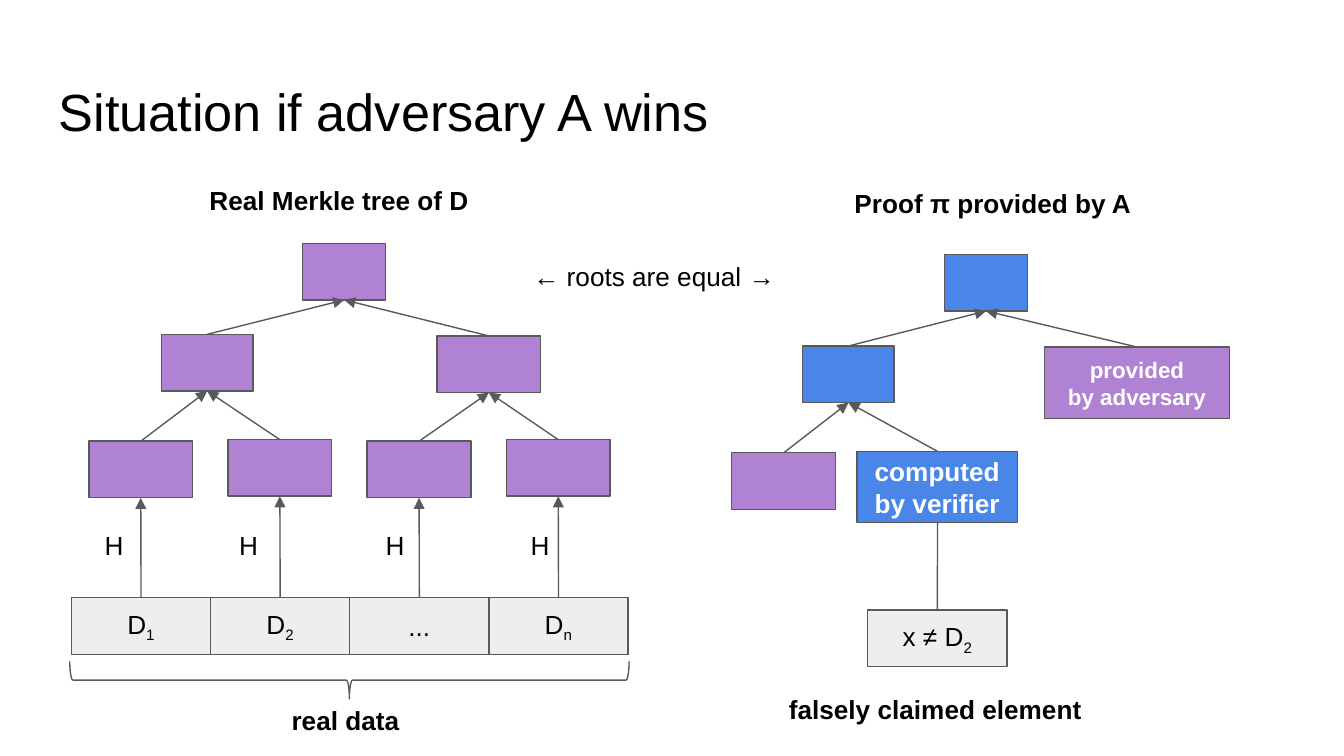
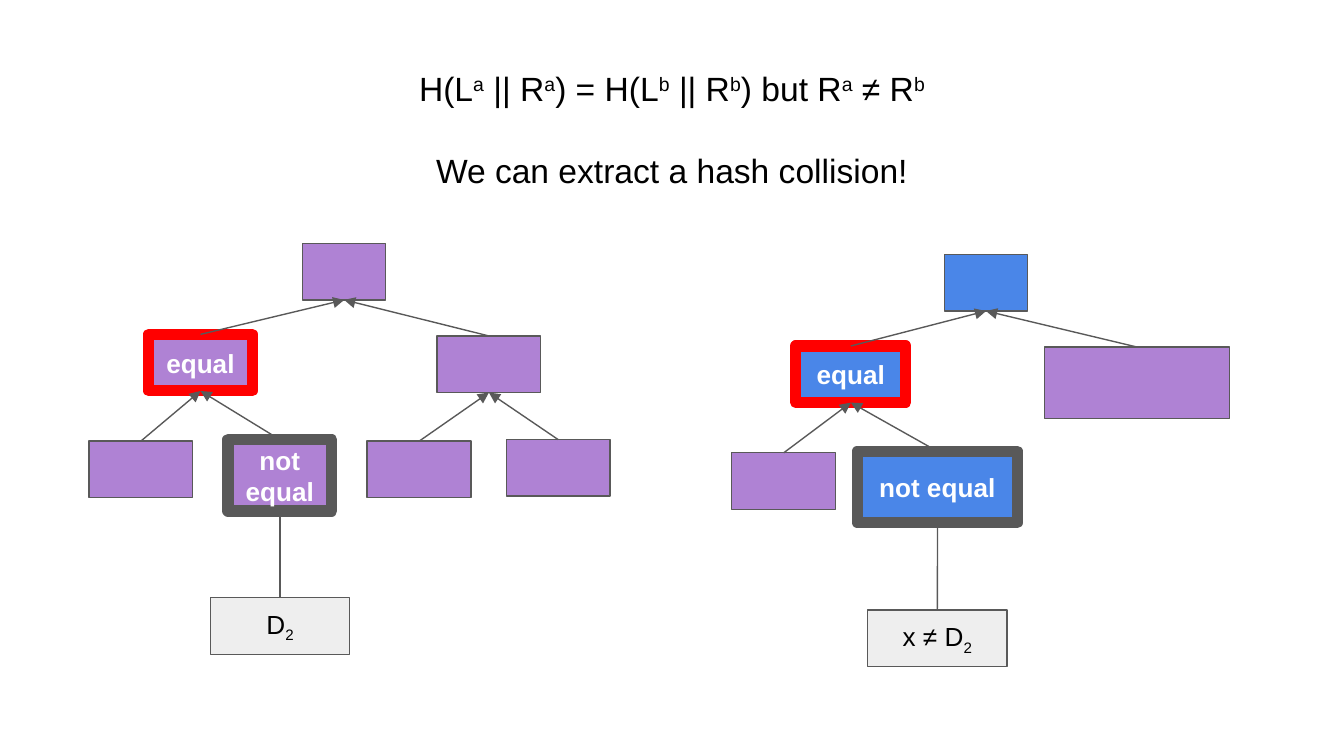
import pptx
import pptx.dml.color
import pptx.enum.shapes
import pptx.enum.text
import pptx.oxml
import pptx.oxml.ns
import pptx.util

Cm, Pt = pptx.util.Cm, pptx.util.Pt
rgb = pptx.dml.color.RGBColor.from_string
SHAPE = pptx.enum.shapes.MSO_SHAPE
ANCHOR = pptx.enum.text.MSO_ANCHOR
ALIGN = pptx.enum.text.PP_ALIGN
NS = pptx.oxml.ns.nsdecls("a")

BLACK, WHITE = "000000", "FFFFFF"
GREY, RED = "595959", "FF0000"
PURPLE, BLUE, PALE = "AF82D4", "4A86E8", "EEEEEE"
TOP, BOTTOM = 0, 2


def add_text(s, text, x, y, w, h, fill=None, line=GREY, weight=0.75, size=14,
             color=BLACK, bold=False, center=False, shift=-25, gap=0):
    """Add a filled box, or a plain text box without fill; ~ toggles shifted runs."""
    frame = Cm(x), Cm(y), Cm(w), Cm(h)
    if fill:
        sp = s.shapes.add_shape(SHAPE.RECTANGLE, *frame)
        sp.shadow.inherit = False
        sp.fill.solid()
        sp.fill.fore_color.rgb = rgb(fill)
        sp.line.color.rgb = rgb(line)
        sp.line.width = Pt(weight)
        sp.line._get_or_add_ln().append(pptx.oxml.parse_xml(f"<a:round {NS}/>"))
    else:
        sp = s.shapes.add_textbox(*frame)
    tf = sp.text_frame
    tf.word_wrap = True
    tf.margin_left = tf.margin_right = tf.margin_top = tf.margin_bottom = Cm(0.25)
    tf.vertical_anchor = ANCHOR.MIDDLE if fill else ANCHOR.TOP
    for i, content in enumerate(text.split("\n") if text else []):
        p = tf.add_paragraph() if i else tf.paragraphs[0]
        p.alignment = ALIGN.CENTER if fill or center else ALIGN.LEFT
        if i and gap:
            p.space_before = Pt(gap)
        for k, part in enumerate(content.split("~")):
            if not part:
                continue
            r = p.add_run()
            r.text = part
            r.font.name, r.font.size, r.font.bold = "Arial", Pt(size), bold
            r.font.color.rgb = rgb(color)
            if k % 2:
                r._r.get_or_add_rPr().set("baseline", str(shift * 1000))
    return sp


def add_arrow(s, x1, y1, x2, y2, begin=None, end=None):
    """Add an arrow, joined to the top of begin and the bottom of end if given."""
    c = s.shapes.add_connector(pptx.enum.shapes.MSO_CONNECTOR.STRAIGHT,
                               Cm(x1), Cm(y1), Cm(x2), Cm(y2))
    c.line.color.rgb = rgb(GREY)
    c.line.width = Pt(0.75)
    c.line._get_or_add_ln().append(pptx.oxml.parse_xml(f'<a:tailEnd {NS} type="triangle"/>'))
    c._element.spPr.append(pptx.oxml.parse_xml(f"<a:effectLst {NS}/>"))
    if begin is not None:
        c.begin_connect(begin, TOP)
    if end is not None:
        c.end_connect(end, BOTTOM)
    return c


# Geometry shared by both slides
PITCH, BOX_H, TALL_H = 2.63, 1.07, 1.35
NODE_W, ROOT_W, SMALL_W = 1.96, 1.57, 1.73
DATA_X, DATA_Y = 1.35, 11.3

# Tree nodes: left, top, width, height, fill
nodes = {
    f"leaf {i}": (1.68 + i * PITCH, 8.31 if i % 2 else 8.34, NODE_W, BOX_H, PURPLE)
    for i in range(4)
}
nodes.update({
    "left": (3.05, 6.32, SMALL_W, BOX_H, PURPLE),
    "right": (8.26, 6.35, NODE_W, BOX_H, PURPLE),
    "root": (5.72, 4.6, ROOT_W, BOX_H, PURPLE),
    "proof sibling": (13.83, 8.56, NODE_W, BOX_H, PURPLE),
    "proof leaf": (16.2, 8.53, 3.03, TALL_H, BLUE),
    "proof left": (15.17, 6.54, SMALL_W, BOX_H, BLUE),
    "proof right": (19.74, 6.56, 3.5, TALL_H, PURPLE),
    "proof root": (17.85, 4.81, ROOT_W, BOX_H, BLUE),
})
edges = [
    ("leaf 0", "left"), ("leaf 1", "left"), ("leaf 2", "right"), ("leaf 3", "right"),
    ("left", "root"), ("right", "root"),
    ("proof sibling", "proof left"), ("proof leaf", "proof left"),
    ("proof left", "proof root"), ("proof right", "proof root"),
]

# What differs between the slides
collision_nodes = {
    **nodes,
    "leaf 1": (4.31, 8.31, NODE_W, TALL_H, PURPLE),
    "left": (2.81, 6.32, NODE_W, BOX_H, PURPLE),
    "proof left": (15.04, 6.54, 2.08, BOX_H, BLUE),
}
equal = dict(text="equal", line=RED, weight=6)
not_equal = dict(text="not equal", weight=6)
variants = [
    (nodes, {0: "D~1", 1: "D~2", 2: "...", 3: "D~n"},
     {"proof leaf": dict(text="computed by verifier"),
      "proof right": dict(text="provided\nby adversary", size=12)}),
    (collision_nodes, {1: "D~2"},
     {"left": equal, "proof left": equal, "leaf 1": not_equal, "proof leaf": not_equal}),
]

prs = pptx.Presentation()
prs.slide_width, prs.slide_height = Cm(25.4), Cm(14.29)

# Both trees on each slide
for places, data, labels in variants:
    s = prs.slides.add_slide(prs.slide_layouts[6])

    # Data blocks with their hash arrows, behind the nodes
    arrows = {}
    for i, text in data.items():
        x = DATA_X + i * PITCH
        block = add_text(s, text, x, DATA_Y, PITCH, BOX_H, fill=PALE)
        middle = x + PITCH / 2
        arrows[i] = add_arrow(s, middle, DATA_Y, middle, 9.42, begin=block)
    claim = add_text(s, "x ≠ D~2", 16.4, 11.53, PITCH, BOX_H, fill=PALE)
    add_arrow(s, 17.72, 11.53, 17.72, 9.65, begin=claim)

    # Nodes, then the edges from child to parent
    boxes = {}
    for name, (x, y, w, h, fill) in places.items():
        style = {"text": "", **labels.get(name, {})}
        boxes[name] = add_text(s, x=x, y=y, w=w, h=h, fill=fill,
                               color=WHITE, bold=True, **style)
    for child, parent in edges:
        add_arrow(s, 0, 0, 0, 0, begin=boxes[child], end=boxes[parent])
    for i, c in arrows.items():
        if f"leaf {i}" not in labels:
            c.end_connect(boxes[f"leaf {i}"], BOTTOM)

# Slide 1: title, captions and brace
s = prs.slides[0]
add_text(s, "Situation if adversary A wins", 0.86, 1.24, 23.67, 1.6, size=28)
for x in (1.73, 4.27, 7.04, 9.78):
    add_text(s, "H", x, 9.75, 0.81, BOX_H)
for text, x, y, w in [
    ("Real Merkle tree of D", 3.71, 3.23, 5.82),
    ("Proof π provided by A", 15.9, 3.3, 5.82),
    ("real data", 5.26, 13.06, 2.72),
    ("falsely claimed element", 14.66, 12.85, 6.4),
]:
    add_text(s, text, x, y, w, BOX_H, bold=True)
add_text(s, "← roots are equal →", 9.83, 4.67, 5.38, TALL_H)
brace = s.shapes.add_shape(SHAPE.LEFT_BRACE, Cm(6.25), Cm(7.57), Cm(0.71), Cm(10.57))
brace.rotation = 270
brace.adjustments[0] = 0.083
brace.shadow.inherit = False
brace.fill.background()
brace.line.color.rgb = rgb(GREY)
brace.line.width = Pt(0.75)

# Slide 2: the conclusion
add_text(prs.slides[1],
         "H(L~a~ || R~a~) = H(L~b~ || R~b~) but R~a~ ≠ R~b\nWe can extract a hash collision!",
         6.91, 1.04, 11.58, TALL_H, size=18, center=True, shift=30, gap=22)

prs.save("out.pptx")
